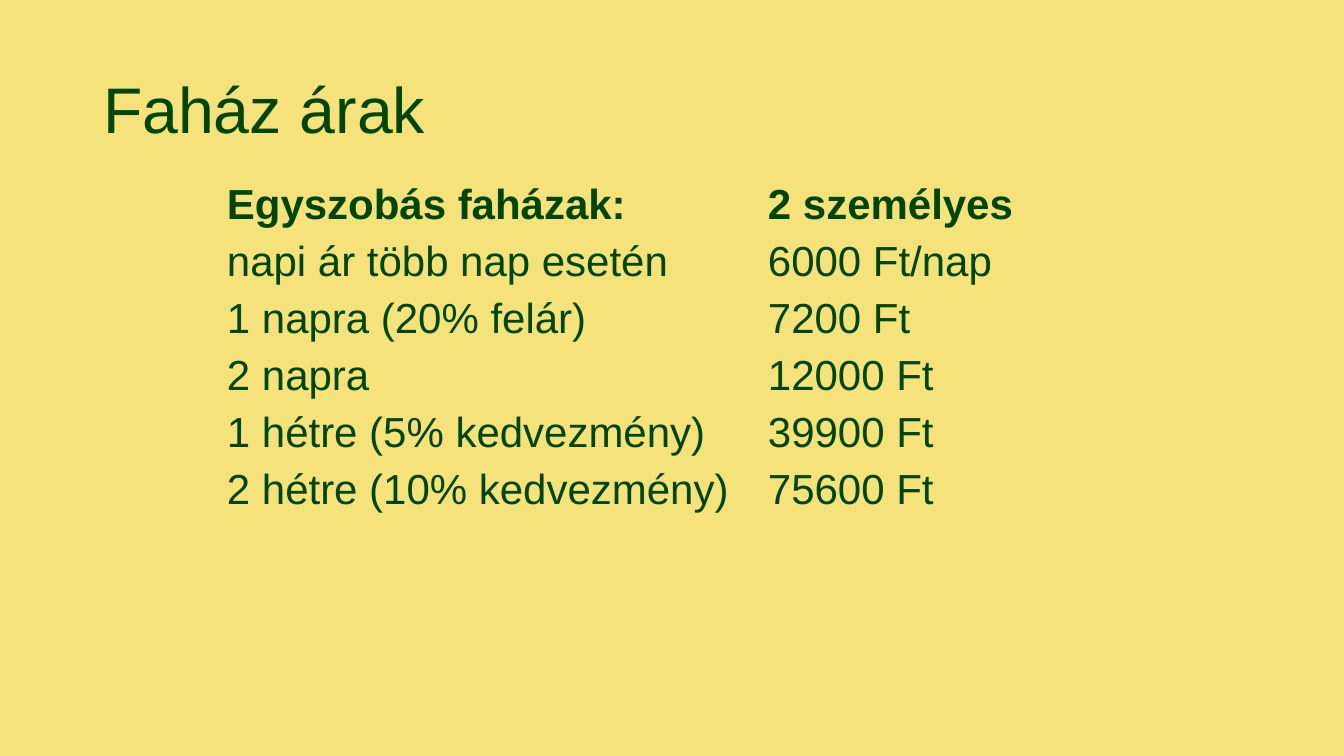
from pptx import Presentation
from pptx.dml.color import RGBColor
from pptx.enum.text import MSO_ANCHOR, MSO_AUTO_SIZE, PP_ALIGN
from pptx.util import Pt

SCALE = 12192000 / 1344
COLORS = {"background": "F6E27B", "text": "004600"}
NO_GRID_STYLE = "{2D5ABB26-0587-4C30-8999-92F81FD0307C}"
TITLE_BOX = (93, 40, 1159, 146)
TABLE_BOX = (219, 176, 907, 342)
LABEL_WIDTH = 541
CELL_FORMAT = {"margin_left": 8, "margin_right": 8, "margin_top": 4, "margin_bottom": 4}
PRICES = [
    ("Egyszobás faházak:", "2 személyes"),
    ("napi ár több\u00a0nap\u00a0esetén", "6000 Ft/nap"),
    ("1 napra (20%\u00a0felár)", "7200 Ft"),
    ("2 napra", "12000 Ft"),
    ("1 hétre (5%\u00a0kedvezmény)", "39900 Ft"),
    ("2 hétre (10%\u00a0kedvezmény)", "75600 Ft"),
]


def pixels(length):
    """Turn a length in pixels into EMU."""
    return round(length * SCALE)


def set_attributes(target, values):
    """Set each named attribute of the target."""
    for name, value in values.items():
        setattr(target, name, value)


def write_text(text_frame, text, size, bold=False):
    """Write one left-aligned paragraph and return it."""
    text_frame.text = text
    paragraph = text_frame.paragraphs[0]
    paragraph.alignment = PP_ALIGN.LEFT
    font = paragraph.runs[0].font
    set_attributes(font, {"name": "Arial", "size": Pt(size), "bold": bold})
    font.color.rgb = RGBColor.from_string(COLORS["text"])
    return paragraph


def place_title(slide, box, text):
    """Fit the title placeholder into the box."""
    title = slide.shapes.title
    set_attributes(title, dict(zip(("left", "top", "width", "height"), map(pixels, box))))
    paragraph = write_text(title.text_frame, text, 46)
    paragraph.line_spacing = 0.9
    set_attributes(title.text_frame, {
        "vertical_anchor": MSO_ANCHOR.MIDDLE,
        "auto_size": MSO_AUTO_SIZE.NONE,
        "word_wrap": True,
    })


def place_prices(slide, box, prices):
    """Fill the box with the price table, without grid or banding."""
    frame = slide.shapes.add_table(len(prices), 2, *map(pixels, box))
    frame.element.xpath(".//a:tableStyleId")[0].text = NO_GRID_STYLE
    table = frame.table
    set_attributes(table, {"first_row": False, "horz_banding": False})
    for column, width in zip(table.columns, (LABEL_WIDTH, box[2] - LABEL_WIDTH)):
        column.width = pixels(width)
    margins = {name: pixels(value) for name, value in CELL_FORMAT.items()}
    for row_index, (row, texts) in enumerate(zip(table.rows, prices)):
        row.height = pixels(box[3] // len(prices))
        for cell, text in zip(row.cells, texts):
            write_text(cell.text_frame, text, 30, bold=row_index == 0)
            set_attributes(cell, {**margins, "vertical_anchor": MSO_ANCHOR.MIDDLE})
            cell.fill.background()


def build_price_slide(presentation):
    """Add the cabin price slide."""
    slide = presentation.slides.add_slide(presentation.slide_layouts[5])
    fill = slide.background.fill
    fill.solid()
    fill.fore_color.rgb = RGBColor.from_string(COLORS["background"])
    place_title(slide, TITLE_BOX, "Faház árak")
    place_prices(slide, TABLE_BOX, PRICES)


presentation = Presentation()
set_attributes(presentation, {"slide_width": pixels(1344), "slide_height": pixels(756)})
build_price_slide(presentation)
presentation.save("out.pptx")
